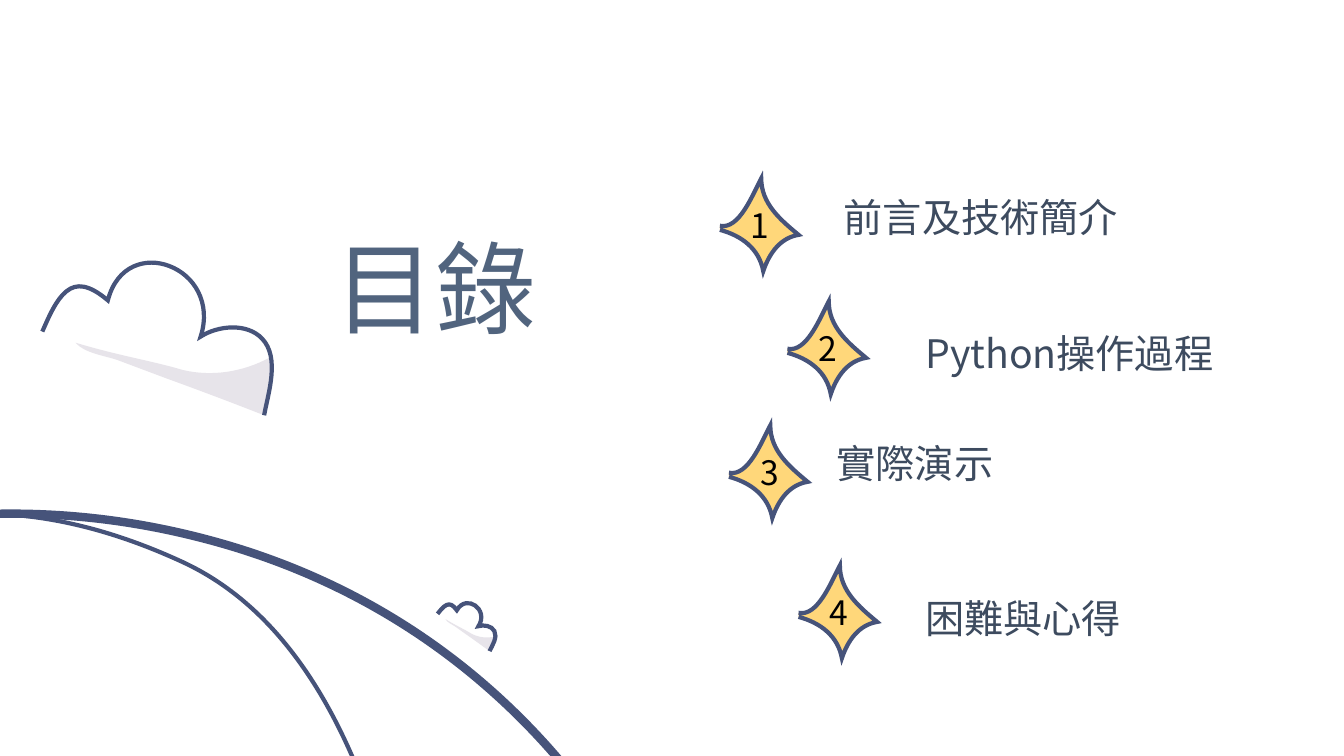
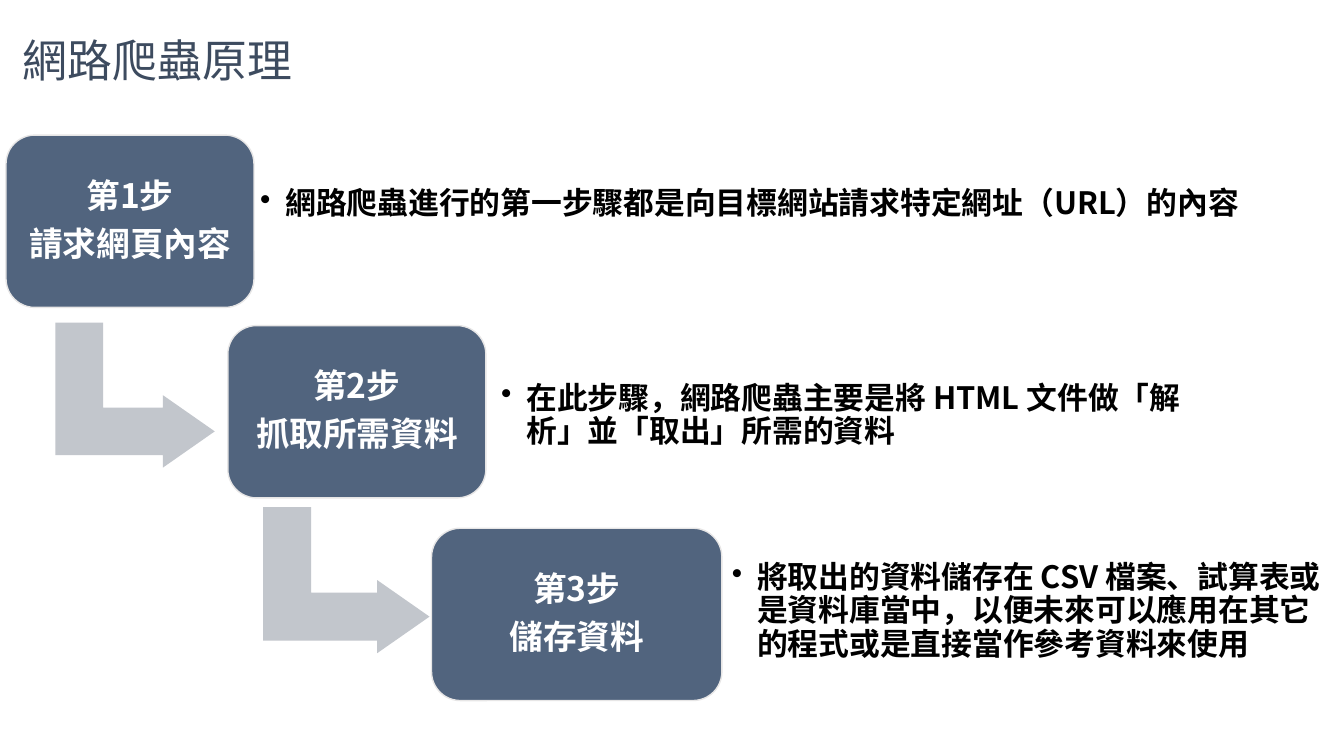
from math import cos, radians, sin

from lxml.etree import SubElement
from pptx import Presentation
from pptx.dml.color import RGBColor
from pptx.enum.shapes import MSO_SHAPE as Preset
from pptx.enum.text import MSO_ANCHOR as Anchor, PP_ALIGN as Align
from pptx.oxml.ns import qn
from pptx.util import Inches, Pt

COLORS = {
    "slate": "51647E", "heading": "3D4B5F", "outline": "46537A", "star": "FFD77A",
    "shade": "E7E4EA", "arrow": "C2C6CC", "border": "E7E6E6", "white": "FFFFFF",
    "black": "000000",
}
SANS, SANS_STEP = "Noto Sans CJK JP", "Noto Sans CJK SC"
STYLES = {
    "contents": {"size": 72, "color": "slate", "name": SANS},
    "title": {"size": 32, "color": "heading", "name": SANS},
    "item": {"size": 28, "color": "heading", "name": SANS},
    "number": {"size": 24, "color": "black", "name": SANS},
    "step": {"size": 24, "color": "white", "name": SANS_STEP, "bold": True},
    "detail": {"size": 22, "color": "black", "name": SANS_STEP, "bold": True},
}

# Each outline is a start point followed by Bézier segments (control, control, end).
STAR = [(0, 0.47), ((0.19, 0.51), (0.32, 0.17), (0.41, 0)),
        ((0.41, 0.25), (0.6, 0.41), (0.78, 0.56)),
        ((0.6, 0.59), (0.49, 0.74), (0.43, 0.92)),
        ((0.39, 0.7), (0.22, 0.57), (0, 0.51))]
CLOUD_EDGE = [(0, 0), ((0.07, -0.16), (0.14, -0.32), (0.24, -0.4)),
              ((0.34, -0.48), (0.46, -0.47), (0.65, -0.31)),
              ((0.74, -0.66), (1.03, -0.74), (1.26, -0.65)),
              ((1.5, -0.56), (1.68, -0.29), (1.57, 0.05)),
              ((1.74, -0.06), (2.03, -0.09), (2.18, 0.07)),
              ((2.36, 0.26), (2.24, 0.61), (2.2, 0.83))]
CLOUD_SHADE = [(0.33, 0.11), ((0.76, 0.24), (1.09, 0.29), (1.39, 0.38)),
               ((1.68, 0.45), (1.99, 0.4), (2.25, 0.26)),
               ((2.31, 0.38), (2.2, 0.83), (2.2, 0.83)),
               ((1.87, 0.7), (1.55, 0.58), (1.22, 0.46)),
               ((1.06, 0.4), (0.9, 0.34), (0.74, 0.28)),
               ((0.62, 0.24), (0.41, 0.21), (0.33, 0.11))]
HILL_OUTER = [(6.49, 17.44), ((8.7, 13.19), (7.28, 6.67), (1.97, 5.33)),
              ((-3.61, 3.91), (-9.01, 9.2), (-8.29, 14.56)),
              ((-7.35, 21.4), (1.33, 24.09), (5.68, 18.68)),
              ((5.99, 18.29), (6.26, 17.88), (6.49, 17.44))]
HILL_INNER = [(0.57, 21.23), ((4.38, 19.99), (4.71, 13.79), (4.24, 10.47)),
              ((4.01, 8.83), (3.51, 6.37), (1.82, 5.58)),
              ((-3.5, 3.11), (-5.71, 10.71), (-5.37, 14.33)),
              ((-5.12, 17.07), (-2.92, 22.36), (0.57, 21.23))]


def rgb(name):
    return RGBColor.from_string(COLORS[name])


def paint(shape, fill=None, line=None, width=1):
    shape.shadow.inherit = False
    if fill:
        shape.fill.solid()
        shape.fill.fore_color.rgb = rgb(fill)
    else:
        shape.fill.background()
    if line:
        shape.line.color.rgb = rgb(line)
        shape.line.width = Pt(width)
    else:
        shape.line.fill.background()


def flatten(start, segments, steps=12):
    """Sample the Bézier segments, so that the shape's box fits the curve."""
    points = [start]
    for segment in segments:
        corners = (points[-1], *segment)
        for step in range(1, steps + 1):
            t = step / steps
            weights = ((1 - t) ** 3, 3 * t * (1 - t) ** 2, 3 * t * t * (1 - t), t ** 3)
            points.append(tuple(round(sum(w * corner[axis] for w, corner in zip(weights, corners)))
                                for axis in (0, 1)))
    return points


def round_off(shape, segments, closed):
    """Replace the straight pieces of a freeform by its Bézier segments."""
    track = next(shape._element.iter(qn("a:path")))
    for piece in list(track)[1:]:
        track.remove(piece)
    for segment in segments:
        curve = SubElement(track, qn("a:cubicBezTo"))
        for x, y in segment:
            SubElement(curve, qn("a:pt"), x=str(x - shape.left), y=str(y - shape.top))
    if closed:
        SubElement(track, qn("a:close"))


def add_curve(slide, outline, origin=(0, 0), scale=1, turn=0, closed=False, **look):
    """Draw an outline scaled, turned clockwise by degrees and moved to origin."""
    cosine, sine = scale * cos(radians(turn)), scale * sin(radians(turn))

    def place(point):
        x, y = point
        return (Inches(origin[0] + x * cosine - y * sine),
                Inches(origin[1] + x * sine + y * cosine))

    start = place(outline[0])
    segments = [[place(point) for point in segment] for segment in outline[1:]]
    builder = slide.shapes.build_freeform(*start, scale=1.0)
    builder.add_line_segments(flatten(start, segments)[1:], close=closed)
    shape = builder.convert_to_shape()
    round_off(shape, segments, closed)
    paint(shape, **look)
    if look.get("line"):
        SubElement(shape.line._get_or_add_ln(), qn("a:miter"), lim="800000")


def set_font(font, style):
    values = dict(STYLES[style])
    font.color.rgb = rgb(values.pop("color"))
    values["size"] = Pt(values["size"])
    for name, value in values.items():
        setattr(font, name, value)


def write(shape, lines, style, margins=None, anchor=Anchor.TOP, bullet=False, **layout):
    frame = shape.text_frame
    frame.word_wrap = True
    frame.vertical_anchor = anchor
    if margins is not None:
        for side in ("left", "top", "right", "bottom"):
            setattr(frame, f"margin_{side}", Inches(margins))
    for index, line in enumerate(lines):
        paragraph = frame.paragraphs[0] if index == 0 else frame.add_paragraph()
        for name, value in layout.items():
            setattr(paragraph, name, value)
        if bullet:
            properties = paragraph._p.get_or_add_pPr()
            properties.set("marL", str(Inches(0.25)))
            properties.set("indent", str(-Inches(0.25)))
            SubElement(properties, qn("a:buChar"), char="•")
        run = paragraph.add_run()
        run.text = line
        set_font(run.font, style)
        SubElement(run.font._element, qn("a:ea"), typeface=STYLES[style]["name"])


def add_text(slide, box, lines, style, **layout):
    shape = slide.shapes.add_textbox(*map(Inches, box))
    write(shape, lines, style, **layout)


def add_cloud(slide, origin, scale=1, turn=0):
    add_curve(slide, CLOUD_SHADE, origin, scale, turn, closed=True, fill="shade")
    add_curve(slide, CLOUD_EDGE, origin, scale, turn, line="outline", width=3)


def add_hill(slide):
    add_curve(slide, HILL_OUTER, closed=True, line="outline", width=6)
    add_curve(slide, HILL_INNER, closed=True, line="outline", width=3)


def add_star(slide, left, top, number):
    add_curve(slide, STAR, (left, top), fill="star", line="outline", width=3)
    add_text(slide, (left + 0.21, top + 0.21, 0.4, 0.5), [str(number)], "number")


def build_contents(slide):
    add_text(slide, (3, 2.19, 2.42, 1.31), ["目錄"], "contents", alignment=Align.RIGHT)
    add_hill(slide)
    add_cloud(slide, (0.42, 3.29))
    add_cloud(slide, (4.34, 6.09), scale=0.27, turn=15)
    items = [
        ("前言及技術簡介", (7.14, 1.77), (8.27, 1.87)),
        ("Python操作過程", (7.81, 2.99), (9.08, 3.22)),
        ("實際演示", (7.23, 4.22), (8.2, 4.31)),
        ("困難與心得", (7.92, 5.61), (9.08, 5.85)),
    ]
    for number, (text, star, place) in enumerate(items, 1):
        add_star(slide, *star, number)
        add_text(slide, (*place, 3.1, 0.57), [text], "item")


def add_step(slide, box, lines, detail_box, detail):
    card = slide.shapes.add_shape(Preset.ROUNDED_RECTANGLE, *map(Inches, box))
    card.adjustments[0] = 0.167
    paint(card, "slate", "border")
    write(card, lines, "step", margins=0.1, anchor=Anchor.MIDDLE,
          alignment=Align.CENTER, line_spacing=0.9, space_after=Pt(8.4))
    add_text(slide, detail_box, [detail], "detail", margins=0.09, anchor=Anchor.MIDDLE,
             bullet=True, line_spacing=0.9, space_after=Pt(3.3))


def add_bent_arrow(slide, box):
    arrow = slide.shapes.add_shape(Preset.BENT_UP_ARROW, *map(Inches, box))
    arrow.rotation = 90
    for index, value in enumerate((0.328, 0.25, 0.358)):
        arrow.adjustments[index] = value
    paint(arrow, "arrow")


def build_steps(slide):
    add_text(slide, (0.13, 0.28, 3, 0.64), ["網路爬蟲原理"], "title")
    for box in ((0.62, 3.13, 1.44, 1.58), (2.71, 4.93, 1.45, 1.65)):
        add_bent_arrow(slide, box)
    steps = [
        ((0.06, 1.34, 2.46, 1.71), ["第1步", "請求網頁內容"], (2.49, 1.34, 10.6, 1.38),
         "網路爬蟲進行的第一步驟都是向目標網站請求特定網址（URL）的內容"),
        ((2.26, 3.23, 2.56, 1.71), ["第2步", "抓取所需資料"], (4.88, 3.34, 7.28, 1.57),
         "在此步驟，網路爬蟲主要是將 HTML 文件做「解析」並「取出」所需的資料"),
        ((4.28, 5.24, 2.88, 1.71), ["第3步", "儲存資料"], (7.17, 5.38, 6.04, 1.38),
         "將取出的資料儲存在 CSV 檔案、試算表或是資料庫當中，"
         "以便未來可以應用在其它的程式或是直接當作參考資料來使用"),
    ]
    for step in steps:
        add_step(slide, *step)


def main():
    presentation = Presentation()
    presentation.slide_width = Inches(13.33)
    presentation.slide_height = Inches(7.5)
    for build in (build_contents, build_steps):
        build(presentation.slides.add_slide(presentation.slide_layouts[6]))
    presentation.save("out.pptx")


if __name__ == "__main__":
    main()
